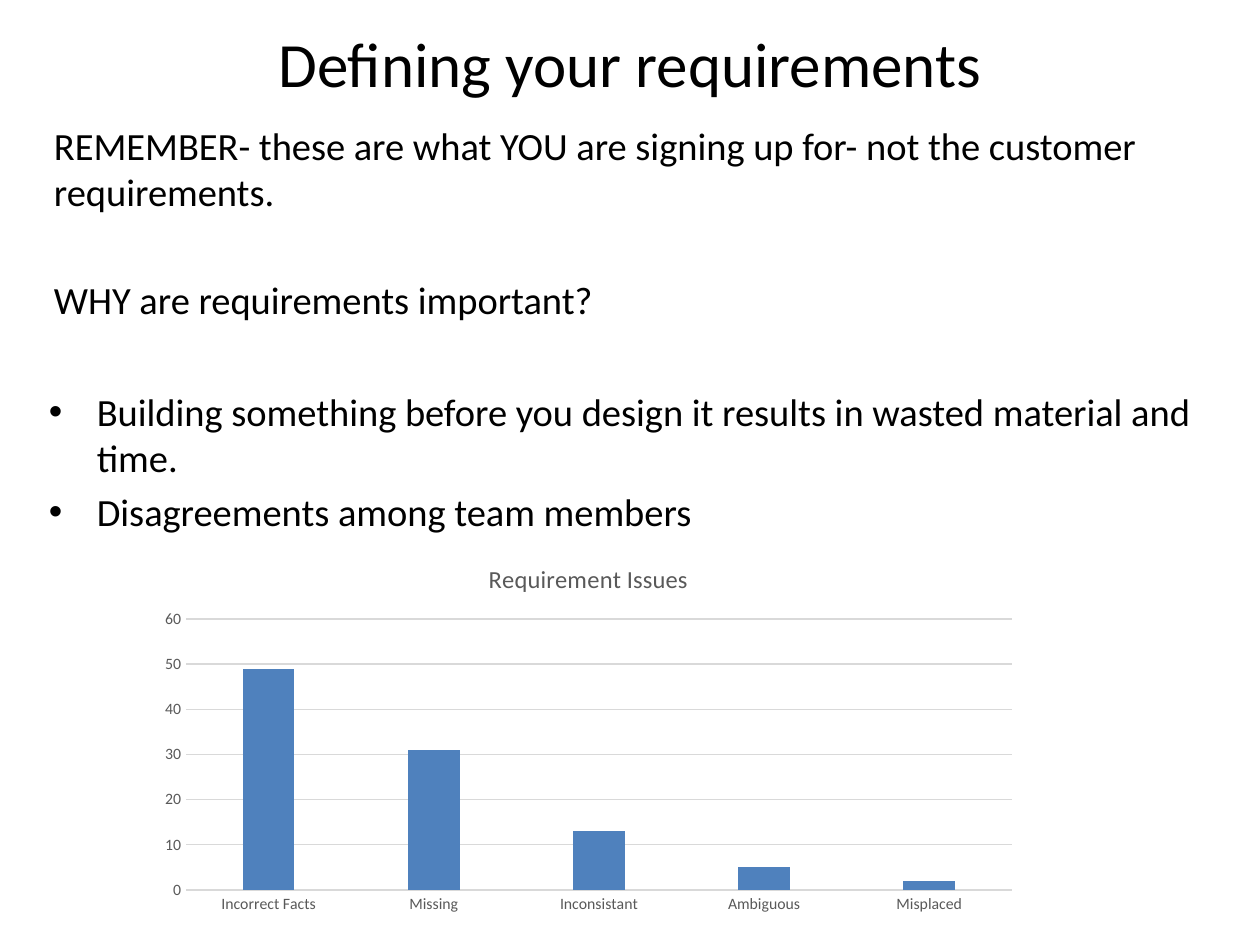
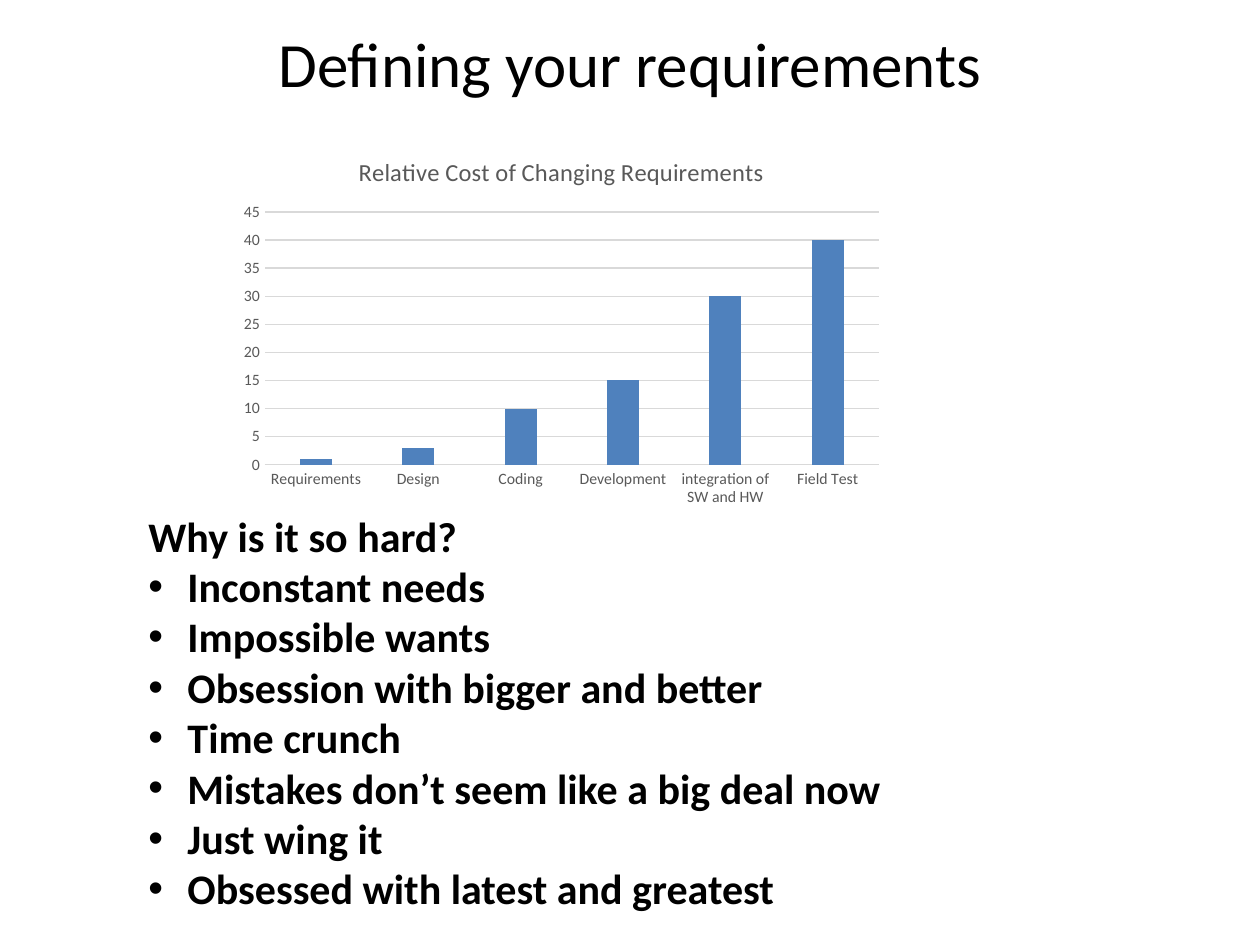
import pptx
import pptx.util
import pptx.chart.data
import pptx.dml.color
import pptx.enum.chart
import pptx.enum.text
import lxml.etree

Inches = pptx.util.Inches
Pt = pptx.util.Pt
rgb = pptx.dml.color.RGBColor.from_string
tick = pptx.enum.chart.XL_TICK_MARK.NONE
hues = {"text": "000000", "label": "595959", "rule": "D9D9D9", "bar": "4F81BD"}
face = "Calibri"


def add_text(slide, area, lines, size, bold=False, gap=0, indent=0):
    box = slide.shapes.add_textbox(*[Inches(n) for n in area])
    frame = box.text_frame
    frame.word_wrap = True
    for i, (words, mark, space) in enumerate(lines):
        para = frame.paragraphs[0] if i == 0 else frame.add_paragraph()
        para.space_before = Pt(gap + space)
        if mark:
            props = para._p.get_or_add_pPr()
            props.set("marL", str(Inches(indent)))
            props.set("indent", str(-Inches(indent)))
            for tag, key, value in (("buFont", "typeface", "Arial"), ("buChar", "char", "•")):
                node = lxml.etree.SubElement(props, pptx.oxml.ns.qn("a:" + tag))
                node.set(key, value)
        run = para.add_run()
        run.text = words
        run.font.name = face
        run.font.size = Pt(size)
        run.font.bold = bold
        run.font.color.rgb = rgb(hues["text"])
    return frame


def add_bars(slide, area, title, points):
    data = pptx.chart.data.CategoryChartData()
    data.categories = list(points)
    data.add_series("Series 1", list(points.values()))
    kind = pptx.enum.chart.XL_CHART_TYPE.COLUMN_CLUSTERED
    chart = slide.shapes.add_chart(kind, *[Inches(n) for n in area], data).chart
    chart.has_legend = False
    chart.font.name = face
    chart.font.size = Pt(10)
    chart.font.color.rgb = rgb(hues["text"])
    chart.has_title = True
    run = chart.chart_title.text_frame.paragraphs[0].add_run()
    run.text = title
    run.font.name = face
    run.font.size = Pt(14)
    run.font.bold = False
    run.font.color.rgb = rgb(hues["label"])
    chart.chart_title.include_in_layout = False
    plot = chart.plots[0]
    plot.vary_by_categories = False
    plot.gap_width = 219
    plot.overlap = -27
    fill = plot.series[0].format.fill
    fill.solid()
    fill.fore_color.rgb = rgb(hues["bar"])
    for axis in (chart.category_axis, chart.value_axis):
        axis.major_tick_mark = tick
        axis.minor_tick_mark = tick
        font = axis.tick_labels.font
        font.name = face
        font.size = Pt(9)
        font.color.rgb = rgb(hues["label"])
    chart.value_axis.has_major_gridlines = True
    chart.value_axis.format.line.fill.background()
    for part in (chart.category_axis, chart.value_axis.major_gridlines):
        part.format.line.color.rgb = rgb(hues["rule"])
        part.format.line.width = Pt(0.75)


deck = pptx.Presentation()
deck.slide_width = Inches(10)
deck.slide_height = Inches(7.5)
slides = []
for _ in range(2):
    slide = deck.slides.add_slide(deck.slide_layouts[6])
    frame = add_text(slide, (0.5, 0.08, 9, 0.83), [("Defining your requirements", False, 0)], 36)
    frame.vertical_anchor = pptx.enum.text.MSO_ANCHOR.MIDDLE
    frame.paragraphs[0].alignment = pptx.enum.text.PP_ALIGN.CENTER
    slides.append(slide)
issues, costs = slides

add_text(issues, (0.33, 0.92, 9.42, 2.17), [
    ("REMEMBER- these are what YOU are signing up for- not the customer requirements.", False, 0),
    ("WHY are requirements important?", False, 31),
], 22, gap=4.4)
add_text(issues, (0.29, 3.03, 9.42, 2.17), [
    ("Building something before you design it results in wasted material and time.", True, 0),
    ("Disagreements among team members", True, 0),
], 22, gap=4.4, indent=0.38)
add_bars(issues, (1.17, 4.31, 7, 3), "Requirement Issues", {
    "Incorrect Facts": 49, "Missing": 31, "Inconsistant": 13, "Ambiguous": 5, "Misplaced": 2,
})

add_bars(costs, (1.83, 1.08, 5.25, 3), "Relative Cost of Changing Requirements", {
    "Requirements": 1, "Design": 3, "Coding": 10, "Development": 15,
    "integration of SW and HW": 30, "Field Test": 40,
})
reasons = [
    "Inconstant needs", "Impossible wants", "Obsession with bigger and better", "Time crunch",
    "Mistakes don’t seem like a big deal now", "Just wing it", "Obsessed with latest and greatest",
]
lines = [("Why is it so hard?", False, 0)] + [(words, True, 0) for words in reasons]
add_text(costs, (1.08, 4, 7.33, 3.3), lines, 24, bold=True, indent=0.31)

deck.save("out.pptx")
